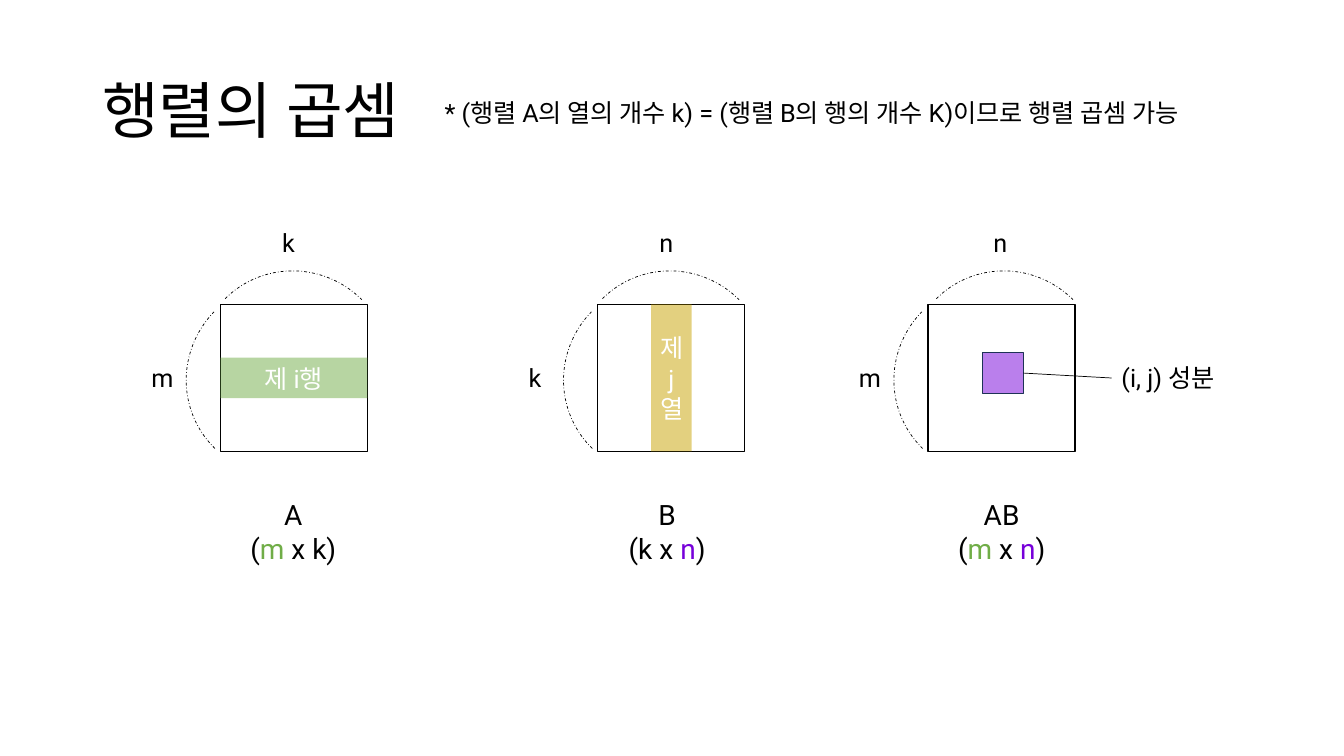
"""Build a slide that explains matrix multiplication with three square diagrams."""
import pptx
import pptx.dml.color
import pptx.enum.dml
import pptx.enum.shapes
import pptx.enum.text
import pptx.oxml.ns
import pptx.util
from lxml import etree

Pt = pptx.util.Pt
RGB = pptx.dml.color.RGBColor
KIND = pptx.enum.shapes.MSO_SHAPE
ALIGN = pptx.enum.text.PP_ALIGN
MIDDLE = pptx.enum.text.MSO_ANCHOR.MIDDLE
DASH = pptx.enum.dml.MSO_LINE.DASH_DOT

BLACK = RGB(0x00, 0x00, 0x00)
WHITE = RGB(0xFF, 0xFF, 0xFF)
GREEN = RGB(0x70, 0xAD, 0x47)
GOLD = RGB(0xC8, 0xA3, 0x00)
PURPLE = RGB(0x77, 0x00, 0xDA)
NAVY = RGB(0x1E, 0x32, 0x56)

TITLE = "행렬의 곱셈"
NOTE = "* (행렬 A의 열의 개수 k) = (행렬 B의 행의 개수 K)이므로 행렬 곱셈 가능"
ROW, COLUMN, ENTRY = "제 i행", "제j열", "(i, j) 성분"
TINTS = {"m": GREEN, "n": PURPLE}

# name, rows, columns, tinted sizes, left, shift of top arc, caption width
MATRICES = [
    ("A", "m", "k", "m", 157.5, 0, 77),
    ("B", "k", "n", "n", 427, 0, 72),
    ("AB", "m", "n", "mn", 663, 2.5, 78),
]
WIDTHS = {"m": 30, "k": 24.5, "n": 25}
TOP, SIDE, BAND = 217.5, 105, 29
ARC = (137, 139)
MID = TOP + (SIDE - BAND) / 2

deck = pptx.Presentation()
deck.slide_width, deck.slide_height = Pt(960), Pt(540)
slide = deck.slides.add_slide(deck.slide_layouts[6])


def apply(item, values):
    for name, value in values.items():
        setattr(item, name, value)


def write(frame, lines, size=18, color=BLACK, **look):
    """Fill a frame with lines, each a list of (text, color or None) runs."""
    for n, line in enumerate(lines):
        para = frame.add_paragraph() if n else frame.paragraphs[0]
        apply(para, look)
        for text, tint in line:
            run = para.add_run()
            run.text = text
            apply(run.font, {"name": "Roboto", "size": Pt(size)})
            run.font.color.rgb = tint or color


def label(lines, left, top, width, height=BAND, wrap=False, **look):
    box = slide.shapes.add_textbox(Pt(left), Pt(top), Pt(width), Pt(height))
    box.text_frame.word_wrap = wrap
    write(box.text_frame, lines, **look)
    return box


def shape(kind, left, top, width, height, fill=None, line=None, weight=1, alpha=100):
    item = slide.shapes.add_shape(kind, Pt(left), Pt(top), Pt(width), Pt(height))
    item.shadow.inherit = False
    if fill is None:
        item.fill.background()
    else:
        item.fill.solid()
        item.fill.fore_color.rgb = fill
    if alpha < 100:
        tint = item.fill._xPr.find(".//" + pptx.oxml.ns.qn("a:srgbClr"))
        etree.SubElement(tint, pptx.oxml.ns.qn("a:alpha"), val=str(alpha * 1000))
    if line is None:
        item.line.fill.background()
    else:
        item.line.color.rgb = line
        item.line.width = Pt(weight)
    return item


def arc(left, top, angle):
    curve = shape(KIND.ARC, left, top, *ARC, line=BLACK, weight=0.5)
    curve.rotation = angle
    curve.line.dash_style = DASH


def band(text, left, fill):
    item = shape(KIND.RECTANGLE, left, MID, SIDE, BAND, fill, alpha=50)
    apply(item.text_frame, {"word_wrap": True, "vertical_anchor": MIDDLE})
    write(item.text_frame, [[(text, None)]], color=WHITE, alignment=ALIGN.CENTER)
    return item


def matrix(name, rows, cols, tinted, left, shift, width):
    shape(KIND.RECTANGLE, left, TOP, SIDE, SIDE, WHITE, BLACK)
    arc(left - 24, TOP - 16.5, 224.2)
    arc(left - 16 + shift, TOP - 24.5, 315)
    label([[(rows, None)]], left - 56.5, MID, WIDTHS[rows])
    label([[(cols, None)]], left + 37 + shift, 158.5, WIDTHS[cols])
    size = [(part, TINTS[part] if part in tinted else None)
            for part in (rows, " x ", cols)]
    label([[(name, None)], [("(", None), *size, (")", None)]],
          left + 13.5, 352, width, 55.5, size=20, alignment=ALIGN.CENTER)


title = label([[(TITLE, None)]], 66, 29, 828, 104.5, True, size=44, line_spacing=0.9)
title.text_frame.vertical_anchor = MIDDLE
label([[(NOTE, None)]], 310.5, 66, 546, wrap=True)

for item in MATRICES:
    matrix(*item)

lefts = [item[4] for item in MATRICES]
band(ROW, lefts[0], GREEN)
strip = band(COLUMN, lefts[1], GOLD)
strip.rotation = 90
strip.text_frame._txBody.bodyPr.set("vert", "vert270")

cell = lefts[2] + (SIDE - BAND) / 2 + 1
shape(KIND.RECTANGLE, cell, 252, BAND, BAND, PURPLE, NAVY, alpha=50)
pointer = slide.shapes.add_connector(
    pptx.enum.shapes.MSO_CONNECTOR.STRAIGHT,
    Pt(cell + BAND), Pt(266.5), Pt(794), Pt(270))
apply(pointer.line, {"width": Pt(0.5)})
pointer.line.color.rgb = BLACK
etree.SubElement(pointer._element.spPr, pptx.oxml.ns.qn("a:effectLst"))
label([[(ENTRY, None)]], 794, MID, 91.5)

deck.save("out.pptx")
